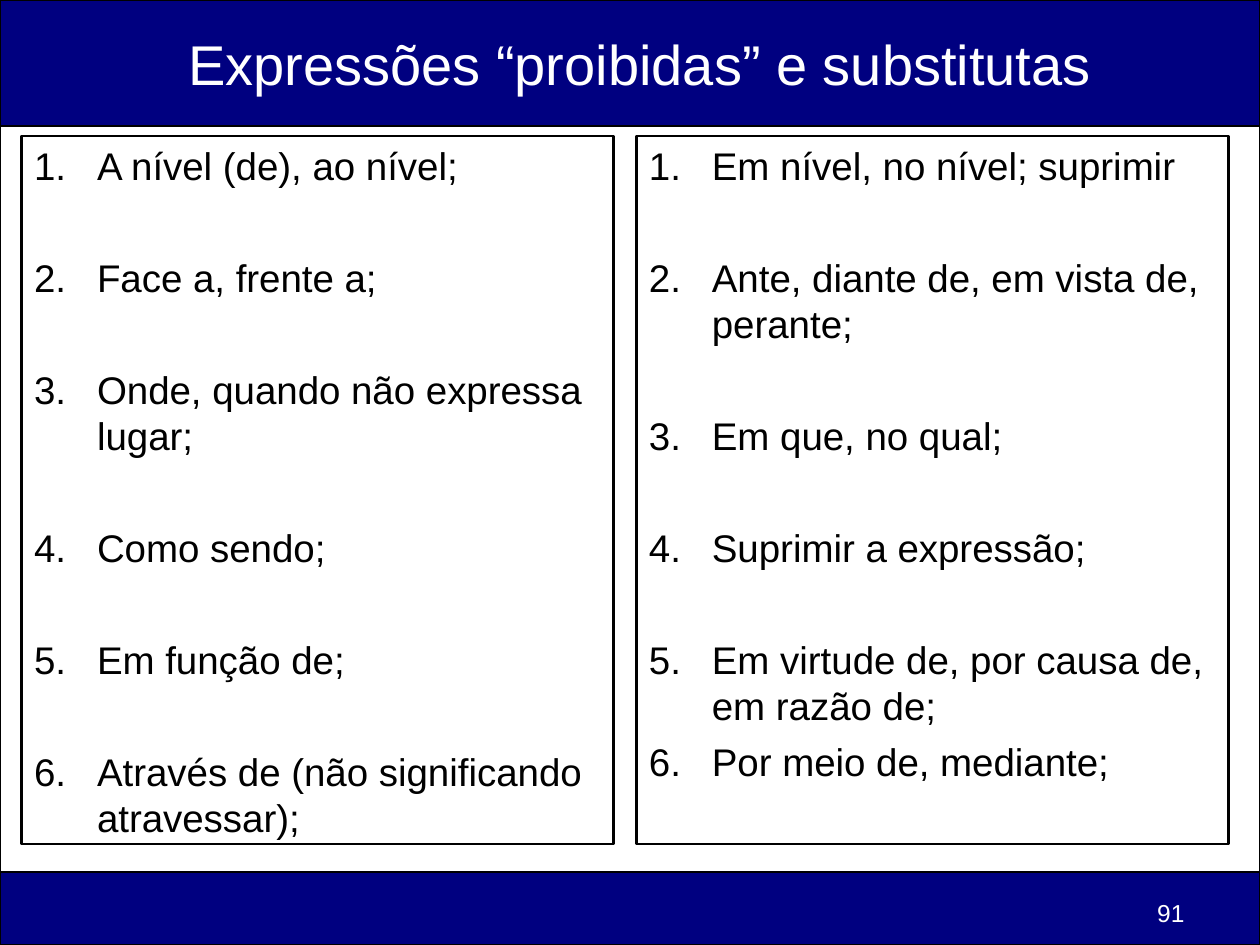
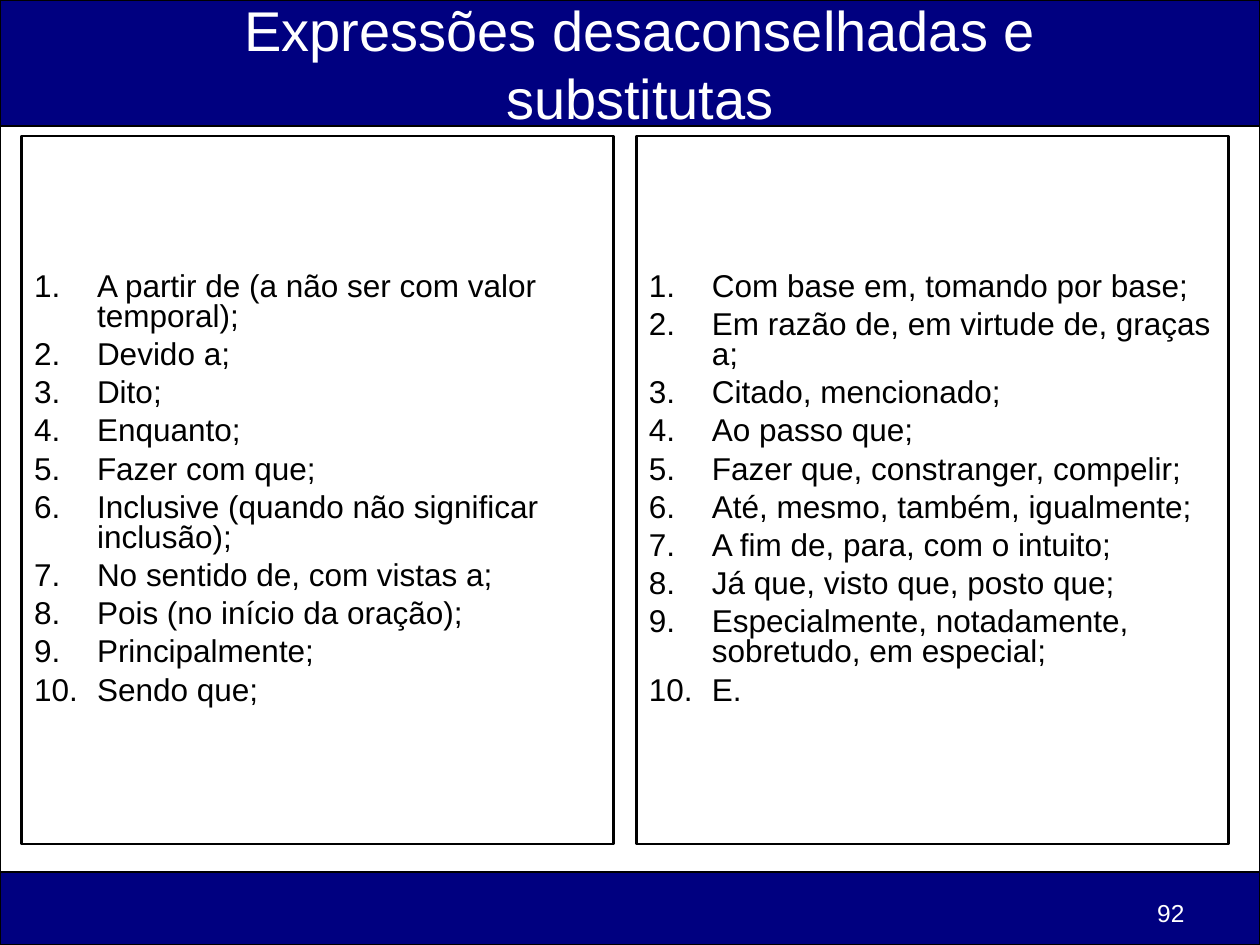
from lxml import etree
from pptx import Presentation
from pptx.dml.color import RGBColor
from pptx.enum.shapes import MSO_SHAPE
from pptx.enum.text import MSO_ANCHOR, MSO_AUTO_SIZE, PP_ALIGN
from pptx.oxml.ns import qn
from pptx.util import Inches, Pt

RECTANGLE = MSO_SHAPE.RECTANGLE
TOP, MIDDLE = MSO_ANCHOR.TOP, MSO_ANCHOR.MIDDLE
CENTER, LEFT, RIGHT = PP_ALIGN.CENTER, PP_ALIGN.LEFT, PP_ALIGN.RIGHT
NO_AUTOFIT = MSO_AUTO_SIZE.NONE

NAVY = RGBColor(0x00, 0x00, 0x80)
LAVENDER = RGBColor(0xE4, 0xE5, 0xFE)
WHITE = RGBColor(0xFF, 0xFF, 0xFF)
BLACK = RGBColor(0x00, 0x00, 0x00)
FONT = "Arial"

PAGE_WIDTH, PAGE_HEIGHT = 10, 7.5
HEADER_HEIGHT, FOOTER_TOP = 1, 6.92
BANDS = [
    (HEADER_HEIGHT, FOOTER_TOP, WHITE),
    (0, HEADER_HEIGHT, NAVY),
    (FOOTER_TOP, PAGE_HEIGHT, NAVY),
]
TITLE_BOX = (1.08, 0, 8, HEADER_HEIGHT)
LIST_BOXES = [(0.17, 1.08, 4.7, 5.62), (5.05, 1.08, 4.7, 5.62)]
NUMBER_BOX = (7.17, 7.08, 2.33, 0.27)

FORBIDDEN = [
    "A nível (de), ao nível;",
    "Face a, frente a;",
    "Onde, quando não expressa lugar;",
    "Como sendo;",
    "Em função de;",
    "Através de (não significando atravessar);",
]
FORBIDDEN_SUBSTITUTES = [
    "Em nível, no nível; suprimir",
    "Ante, diante de, em vista de, perante;",
    "Em que, no qual;",
    "Suprimir a expressão;",
    "Em virtude de, por causa de, em razão de;",
    "Por meio de, mediante;",
]
DISCOURAGED = [
    "A partir de (a não ser com valor temporal);",
    "Devido a;",
    "Dito;",
    "Enquanto;",
    "Fazer com que;",
    "Inclusive (quando não significar inclusão);",
    "No sentido de, com vistas a;",
    "Pois (no início da oração);",
    "Principalmente;",
    "Sendo que;",
]
DISCOURAGED_SUBSTITUTES = [
    "Com base em, tomando por base;",
    "Em razão de, em virtude de, graças a;",
    "Citado, mencionado;",
    "Ao passo que;",
    "Fazer que, constranger, compelir;",
    "Até, mesmo, também, igualmente;",
    "A fim de, para, com o intuito;",
    "Já que, visto que, posto que;",
    "Especialmente, notadamente, sobretudo, em especial;",
    "E.",
]


def place(shape, box):
    shape.left, shape.top, shape.width, shape.height = map(Inches, box)


def format_para(para, size, color, align):
    para.alignment = align
    for span in para.runs:
        span.font.name = FONT
        span.font.size = Pt(size)
        span.font.color.rgb = color


def prepare_frame(shape, anchor):
    frame = shape.text_frame
    frame.word_wrap = True
    frame.auto_size = NO_AUTOFIT
    frame.vertical_anchor = anchor
    return frame


def number_para(para):
    props = para._p.get_or_add_pPr()
    props.set("marL", str(Inches(0.5)))
    props.set("indent", str(-Inches(0.5)))
    color = etree.SubElement(props, qn("a:buClr"))
    etree.SubElement(color, qn("a:srgbClr"), val=str(BLACK))
    etree.SubElement(props, qn("a:buFont"), typeface=FONT)
    etree.SubElement(props, qn("a:buAutoNum"), type="arabicPeriod")


def add_bands(layout, page):
    layout.background.fill.solid()
    layout.background.fill.fore_color.rgb = LAVENDER
    for holder in list(layout.placeholders):
        if holder.placeholder_format.idx >= 10:
            holder.element.getparent().remove(holder.element)
    bands = []
    for top, bottom, color in BANDS:
        band = page.shapes.add_shape(
            RECTANGLE, 0, Inches(top), Inches(PAGE_WIDTH), Inches(bottom - top))
        band.shadow.inherit = False
        band.fill.solid()
        band.fill.fore_color.rgb = color
        band.line.color.rgb = BLACK
        band.line.width = Pt(1)
        bands.append(band)
    for position, band in enumerate(bands, start=2):
        layout.shapes.element.insert(position, band.element)


def fill_title(page, text, box):
    title = page.shapes.title
    place(title, box)
    frame = prepare_frame(title, MIDDLE)
    frame.text = text
    format_para(frame.paragraphs[0], 32, WHITE, CENTER)


def fill_list(holder, items, box, size, gaps, spacing, anchor):
    place(holder, box)
    holder.line.color.rgb = BLACK
    holder.line.width = Pt(1.5)
    frame = prepare_frame(holder, anchor)
    frame.text = "\n".join(items)
    for para, gap in zip(frame.paragraphs, gaps):
        number_para(para)
        para.space_before = Pt(gap)
        para.line_spacing = spacing
        format_para(para, size, BLACK, LEFT)


def add_page_number(page, number, box):
    label = page.shapes.add_textbox(*map(Inches, box))
    frame = prepare_frame(label, TOP)
    frame.text = str(number)
    format_para(frame.paragraphs[0], 14, WHITE, RIGHT)


def fill_page(page, number, title, columns, column_gaps, size, spacing, anchor):
    fill_title(page, title, TITLE_BOX)
    for index, (items, gaps, box) in enumerate(zip(columns, column_gaps, LIST_BOXES), start=1):
        fill_list(page.placeholders[index], items, box, size, gaps, spacing, anchor)
    add_page_number(page, number, NUMBER_BOX)


def main():
    deck = Presentation()
    deck.slide_width, deck.slide_height = Inches(PAGE_WIDTH), Inches(PAGE_HEIGHT)
    layout = deck.slide_layouts.get_by_name("Two Content")
    forbidden_page = deck.slides.add_slide(layout)
    discouraged_page = deck.slides.add_slide(layout)
    add_bands(layout, forbidden_page)

    wide_gaps = [0] + [37.5] * 5
    fill_page(forbidden_page, 91, "Expressões “proibidas” e substitutas",
              [FORBIDDEN, FORBIDDEN_SUBSTITUTES],
              [wide_gaps, wide_gaps[:-1] + [5.5]], 22, 1.0, TOP)
    tight_gaps = [0] + [4.5] * 9
    fill_page(discouraged_page, 92, "Expressões desaconselhadas e substitutas",
              [DISCOURAGED, DISCOURAGED_SUBSTITUTES],
              [tight_gaps, tight_gaps], 18, 0.8, MIDDLE)
    deck.save("out.pptx")


if __name__ == "__main__":
    main()
